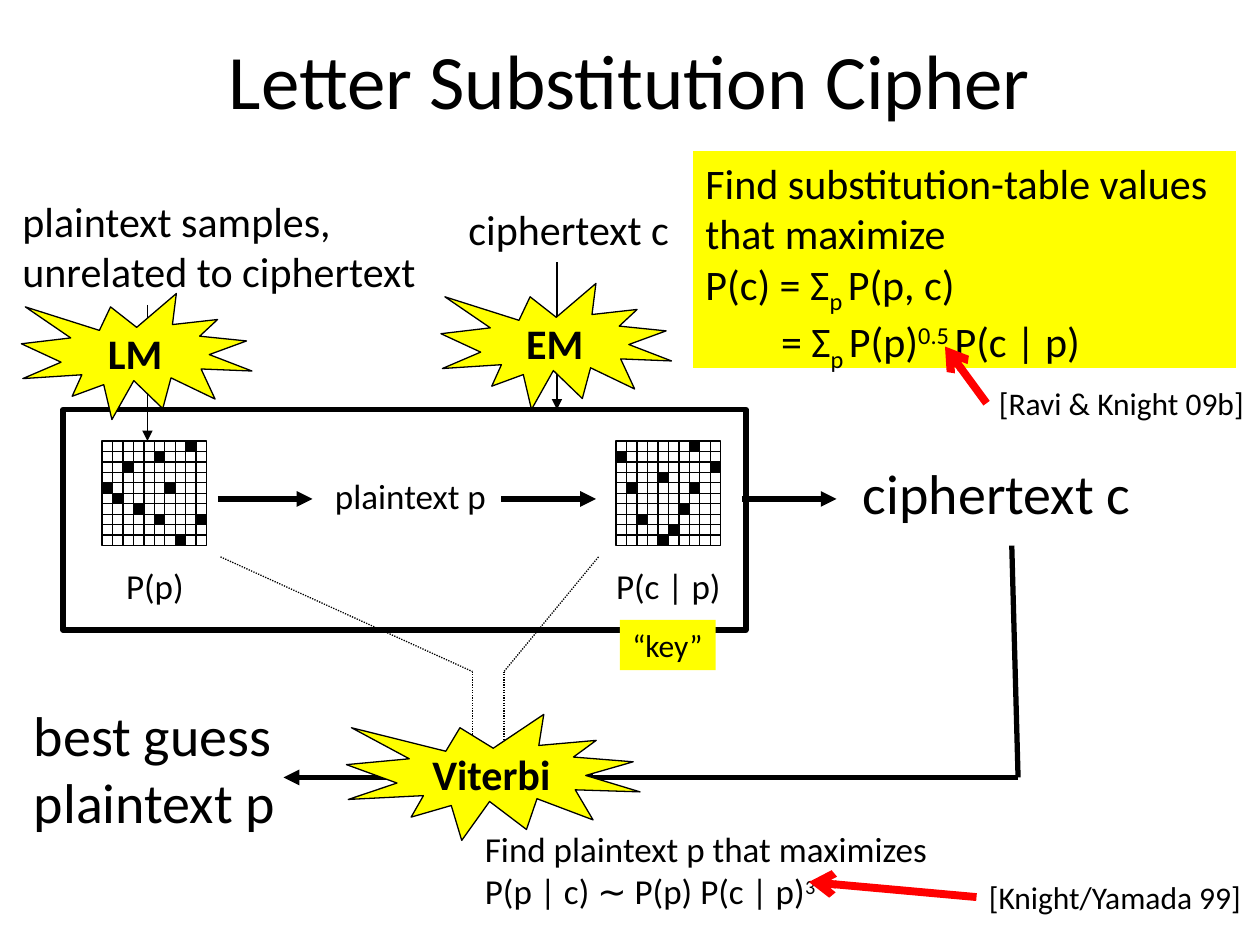
from typing import NamedTuple, Optional

from lxml.etree import SubElement
from pptx import Presentation
from pptx.dml.color import RGBColor
from pptx.enum.dml import MSO_LINE
from pptx.enum.shapes import MSO_CONNECTOR, MSO_SHAPE
from pptx.enum.text import MSO_ANCHOR, MSO_AUTO_SIZE, PP_ALIGN
from pptx.oxml.ns import qn
from pptx.util import Inches, Pt

COLORS = {"ink": "000000", "highlight": "FFFF00", "citation": "FF0000"}
FONT = "Calibri"
GRID_SIZE = 0.83
GRID_CELLS = 10
GRID_TOP = 3.5
SUBSCRIPT, SUPERSCRIPT = -25, 30


class Piece(NamedTuple):
    text: str
    baseline: int = 0


class Line(NamedTuple):
    pieces: list[Piece]
    indent: float = 0


class Label(NamedTuple):
    box: tuple[float, float, float, float]
    lines: list[Line]
    size: int
    centered: bool = False
    fill: Optional[str] = None


class Stroke(NamedTuple):
    start: tuple[float, float]
    end: tuple[float, float]
    width: float = 0.75
    arrow: Optional[str] = None
    color: str = "ink"
    dotted: bool = False


class Burst(NamedTuple):
    text: str
    box: tuple[float, float, float, float]


class Table(NamedTuple):
    left: float
    filled: list[tuple[int, int]]


def plain(*texts: str) -> list[Line]:
    return [Line([Piece(text)]) for text in texts]


def color(name: str) -> RGBColor:
    return RGBColor.from_string(COLORS[name])


def draw_stroke(shapes, stroke: Stroke) -> None:
    ends = [Inches(value) for value in (*stroke.start, *stroke.end)]
    connector = shapes.add_connector(MSO_CONNECTOR.STRAIGHT, *ends)
    connector.line.color.rgb = color(stroke.color)
    connector.line.width = Pt(stroke.width)
    if stroke.dotted:
        connector.line.dash_style = MSO_LINE.ROUND_DOT
    if stroke.arrow:
        SubElement(connector.line._get_or_add_ln(), qn("a:tailEnd"), type=stroke.arrow)
    SubElement(connector._element.spPr, qn("a:effectLst"))


def draw_shape(shapes, kind, box, fill: Optional[str] = None, width: float = 0):
    shape = shapes.add_shape(kind, *[Inches(value) for value in box])
    shape.shadow.inherit = False
    if fill:
        shape.fill.solid()
        shape.fill.fore_color.rgb = color(fill)
    else:
        shape.fill.background()
    if width:
        shape.line.color.rgb = color("ink")
        shape.line.width = Pt(width)
    else:
        shape.line.fill.background()
    return shape


def write_lines(frame, lines: list[Line], size: int, centered: bool, bold: bool = False) -> None:
    frame.word_wrap = False
    for index, line in enumerate(lines):
        paragraph = frame.paragraphs[0] if index == 0 else frame.add_paragraph()
        paragraph.alignment = PP_ALIGN.CENTER if centered else PP_ALIGN.LEFT
        if line.indent:
            paragraph._p.get_or_add_pPr().set("marL", str(Inches(line.indent)))
        paragraph.font.name = FONT
        paragraph.font.size = Pt(size)
        paragraph.font.bold = bold
        paragraph.font.color.rgb = color("ink")
        for piece in line.pieces:
            run = paragraph.add_run()
            run.text = piece.text
            if piece.baseline:
                run._r.get_or_add_rPr().set("baseline", str(piece.baseline * 1000))


def draw_label(shapes, label: Label) -> None:
    if label.fill:
        holder = draw_shape(shapes, MSO_SHAPE.RECTANGLE, label.box, label.fill)
    else:
        holder = shapes.add_textbox(*[Inches(value) for value in label.box])
    frame = holder.text_frame
    write_lines(frame, label.lines, label.size, label.centered)
    frame.vertical_anchor = MSO_ANCHOR.TOP
    frame.auto_size = MSO_AUTO_SIZE.SHAPE_TO_FIT_TEXT


def draw_burst(shapes, burst: Burst) -> None:
    seal = draw_shape(shapes, MSO_SHAPE.EXPLOSION1, burst.box, "highlight", 0.75)
    seal.text_frame.vertical_anchor = MSO_ANCHOR.MIDDLE
    write_lines(seal.text_frame, plain(burst.text), 24, True, True)


def draw_table(shapes, table: Table) -> None:
    grid = shapes.add_group_shape().shapes
    cell = GRID_SIZE / GRID_CELLS
    right, bottom = table.left + GRID_SIZE, GRID_TOP + GRID_SIZE
    draw_shape(grid, MSO_SHAPE.RECTANGLE, (table.left, GRID_TOP, GRID_SIZE, GRID_SIZE), None, 0.75)
    for step in range(1, GRID_CELLS):
        x, y = table.left + step * cell, GRID_TOP + step * cell
        draw_stroke(grid, Stroke((table.left, y), (right, y)))
        draw_stroke(grid, Stroke((x, GRID_TOP), (x, bottom)))
    for column, row in table.filled:
        box = (table.left + column * cell, GRID_TOP + row * cell, cell, cell)
        draw_shape(grid, MSO_SHAPE.RECTANGLE, box, "ink", 0.75)


TABLES = [
    Table(4.89, [(7, 0), (0, 1), (9, 2), (4, 3), (1, 4), (7, 4), (6, 6), (2, 7), (5, 8), (4, 9)]),
    Table(0.81, [(8, 0), (5, 1), (2, 2), (0, 4), (6, 4), (1, 5), (3, 6), (5, 7), (9, 7), (7, 9)]),
]

FLOW = [
    Stroke((8.08, 6.17), (4.58, 6.17), 3, "triangle"),
    Stroke((8.03, 4.33), (8.08, 6.17), 3),
    Stroke((4.42, 2.08), (4.42, 3.25), arrow="triangle"),
    *[Stroke((x, 3.96), (x + 0.75, 3.96), 3, "triangle") for x in (1.73, 3.98, 5.89)],
    Stroke((1.17, 3), (1.17, 3.5), arrow="triangle"),
    Stroke((3.17, 6.17), (2.25, 6.17), 3, "triangle"),
    Stroke((1.75, 4.42), (3.75, 5.33), dotted=True),
    Stroke((4.75, 4.42), (4, 5.33), dotted=True),
    *[Stroke((x, 5.33), (x, 6), arrow="triangle", dotted=True) for x in (3.75, 4)],
    Stroke((1.17, 2.42), (1.17, 2.67), arrow="triangle"),
]

BURSTS = [
    Burst("EM", (3.5, 2.25, 1.83, 1)),
    Burst("Viterbi", (2.75, 5.67, 2.33, 1)),
    Burst("LM", (0.17, 2.33, 1.83, 1)),
]

OBJECTIVE = plain("Find substitution-table values", "that maximize") + [
    Line([Piece("P(c) = Σ"), Piece("p ", SUBSCRIPT), Piece("P(p, c)")]),
    Line([Piece("= Σ"), Piece("p ", SUBSCRIPT), Piece("P(p)"),
          Piece("0.5 ", SUPERSCRIPT), Piece("P(c | p)")], 0.6),
]
DECODING = plain("Find plaintext p that maximizes") + [
    Line([Piece("P(p | c) ∼ P(p) P(c | p)"), Piece("3", SUPERSCRIPT)]),
]

LABELS = [
    Label((6.75, 3.59, 2.35, 0.64), plain("ciphertext c"), 32),
    Label((4.79, 4.43, 1.03, 0.43), plain("P(c | p)"), 20, True),
    Label((0.9, 4.43, 0.66, 0.43), plain("P(p)"), 20, True),
    Label((2.56, 3.72, 1.41, 0.43), plain("plaintext p"), 20),
    Label((5.5, 1.2, 4.31, 1.72), OBJECTIVE, 24, fill="highlight"),
    Label((0.17, 5.51, 2.14, 1.18), plain("best guess", "plaintext p"), 32),
    Label((3.75, 6.52, 3.75, 0.77), DECODING, 20),
    Label((0.08, 1.5, 3.34, 0.9), plain("plaintext samples,", "unrelated to ciphertext"), 24),
    Label((3.62, 1.57, 1.8, 0.5), plain("ciphertext c"), 24),
    Label((4.92, 4.92, 0.76, 0.4), plain("“key”"), 18, fill="highlight"),
    Label((7.75, 6.92, 2.22, 0.4), plain("[Knight/Yamada 99]"), 18),
    Label((7.83, 3, 2.17, 0.4), plain("[Ravi & Knight 09b]"), 18),
]

CITATION_ARROWS = [
    Stroke((7.83, 3.2), (7.5, 2.75), 4.5, "arrow", "citation"),
    Stroke((7.75, 7.12), (6.42, 7), 4.5, "arrow", "citation"),
]


def main() -> None:
    presentation = Presentation()
    presentation.slide_width, presentation.slide_height = Inches(10), Inches(7.5)
    shapes = presentation.slides.add_slide(presentation.slide_layouts[6]).shapes
    title = shapes.add_textbox(Inches(0.75), Inches(0), Inches(8.5), Inches(1.25)).text_frame
    write_lines(title, plain("Letter Substitution Cipher"), 44, True)
    title.vertical_anchor = MSO_ANCHOR.MIDDLE
    for table in TABLES:
        draw_table(shapes, table)
    draw_shape(shapes, MSO_SHAPE.RECTANGLE, (0.5, 3.25, 5.42, 1.75), None, 3)
    for items, draw in ((FLOW, draw_stroke), (BURSTS, draw_burst),
                        (LABELS, draw_label), (CITATION_ARROWS, draw_stroke)):
        for item in items:
            draw(shapes, item)
    presentation.save("out.pptx")


if __name__ == "__main__":
    main()
